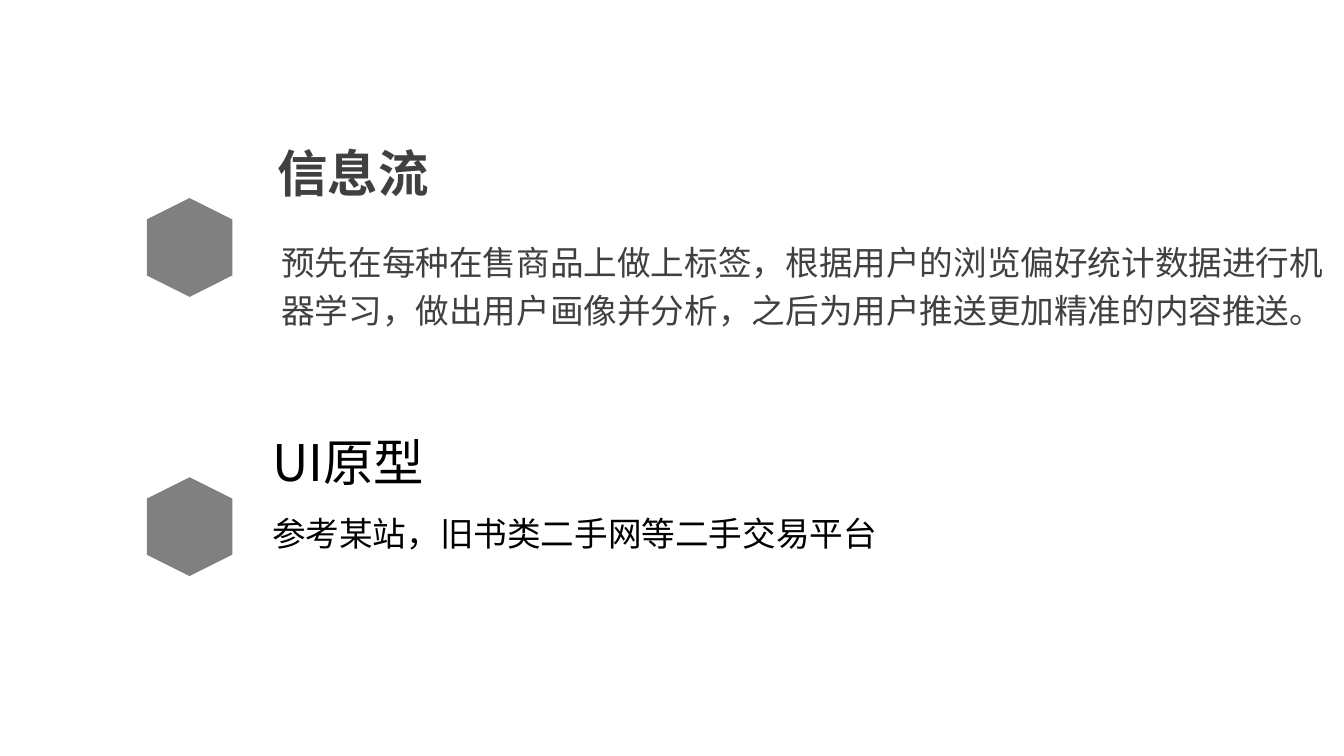
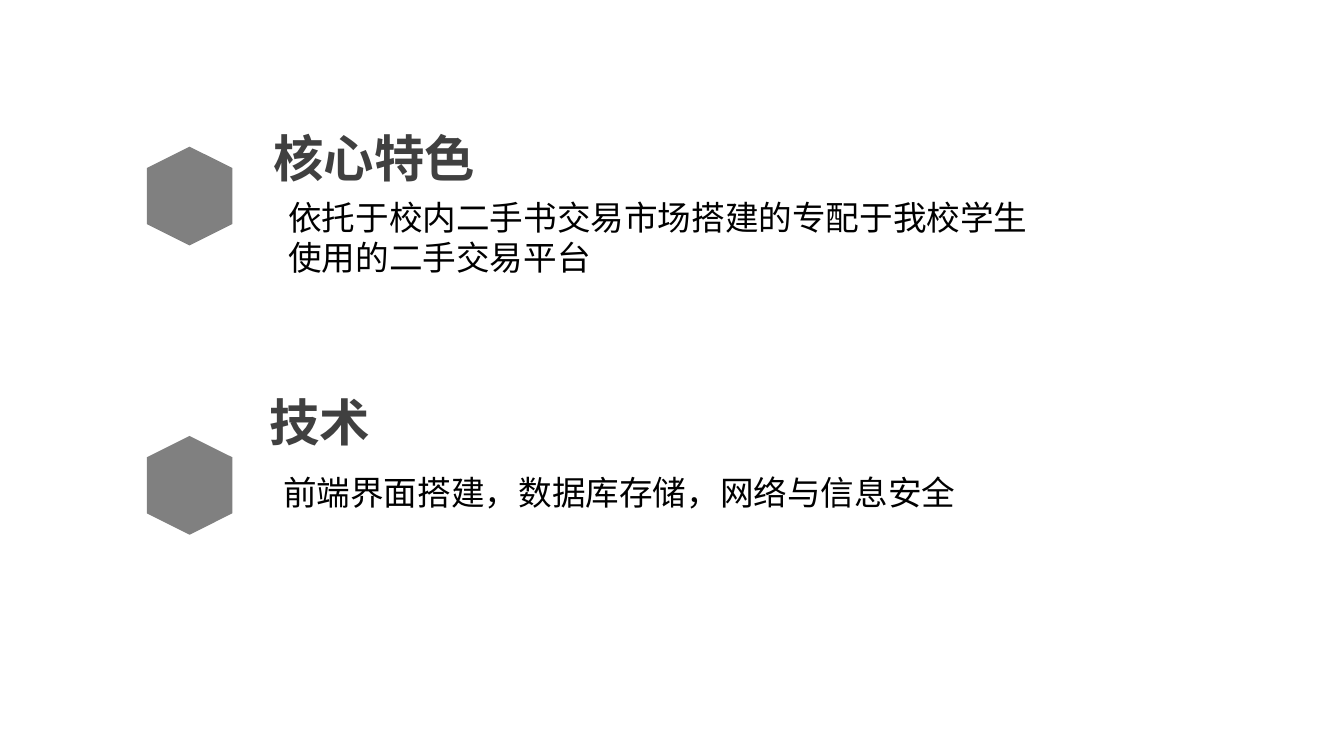
from dataclasses import dataclass

from lxml import etree
from pptx import Presentation
from pptx import util as u
from pptx.dml.color import RGBColor
from pptx.enum import shapes, text
from pptx.oxml import ns
from pptx.slide import Slide


@dataclass(frozen=True)
class Theme:
    font: str = "Noto Sans CJK SC"
    heading_size: int = 36
    body_size: int = 24
    marker: RGBColor = RGBColor(0x80, 0x80, 0x80)
    dark: RGBColor = RGBColor(0x40, 0x40, 0x40)
    black: RGBColor = RGBColor(0, 0, 0)


THEME = Theme()
MARKER_LEFT, MARKER_WIDTH, MARKER_HEIGHT = 1.39, 0.98, 0.85


@dataclass(frozen=True)
class TextBlock:
    words: str
    left: float
    top: float
    width: float
    height: float
    size: int = THEME.body_size
    color: RGBColor = THEME.black
    bold: bool = False
    inset: bool = True
    line_spacing: float = 1.0


@dataclass(frozen=True)
class Topic:
    marker_top: float
    heading: TextBlock
    body: TextBlock


def dark_heading(words: str, left: float, top: float, width: float = 5.5) -> TextBlock:
    return TextBlock(words, left, top, width, 0.36, THEME.heading_size,
                     THEME.dark, bold=True, inset=False)


SLIDES = (
    (
        Topic(2.03, dark_heading("信息流", 2.75, 1.41),
              TextBlock("预先在每种在售商品上做上标签，根据用户的浏览偏好统计数据进行机器学习，"
                        "做出用户画像并分析，之后为用户推送更加精准的内容推送。",
                        2.79, 2.32, 10.46, 0.97, color=THEME.dark,
                        inset=False, line_spacing=1.2)),
        Topic(4.8, TextBlock("UI原型", 2.6, 4.23, 4.06, 0.71, THEME.heading_size),
              TextBlock("参考某站，旧书类二手网等二手交易平台", 2.6, 5.04, 8.64, 0.5)),
    ),
    (
        Topic(1.52, dark_heading("核心特色", 2.71, 1.26),
              TextBlock("依托于校内二手书交易市场搭建的专配于我校学生使用的二手交易平台",
                        2.76, 1.9, 7.75, 0.91)),
        Topic(4.39, dark_heading("技术", 2.67, 3.88, 3.05),
              TextBlock("前端界面搭建，数据库存储，网络与信息安全", 2.71, 4.63, 7.81, 0.5)),
    ),
)


def add_marker(s: Slide, top: float) -> None:
    sp = s.shapes.add_shape(shapes.MSO_SHAPE.HEXAGON, u.Inches(MARKER_LEFT), u.Inches(top),
                            u.Inches(MARKER_WIDTH), u.Inches(MARKER_HEIGHT))
    sp.rotation = 90
    sp.shadow.inherit = False
    sp.fill.solid()
    sp.fill.fore_color.rgb = THEME.marker
    sp.line.fill.background()


def add_text(s: Slide, block: TextBlock) -> None:
    sp = s.shapes.add_textbox(u.Inches(block.left), u.Inches(block.top),
                              u.Inches(block.width), u.Inches(block.height))
    tf = sp.text_frame
    tf.word_wrap = True
    tf.vertical_anchor = text.MSO_ANCHOR.TOP
    if not block.inset:
        tf.margin_left = tf.margin_top = tf.margin_right = tf.margin_bottom = 0
    p = tf.paragraphs[0]
    p.line_spacing = block.line_spacing
    p.font.size = u.Pt(block.size)
    p.font.bold = block.bold
    p.font.color.rgb = block.color
    p.font.name = THEME.font
    font_xml = p._p.pPr.find(ns.qn("a:defRPr"))
    etree.SubElement(font_xml, ns.qn("a:ea"), typeface=THEME.font)
    r = p.add_run()
    r.text = block.words


def add_topic(s: Slide, topic: Topic) -> None:
    add_marker(s, topic.marker_top)
    add_text(s, topic.heading)
    add_text(s, topic.body)


def main() -> None:
    prs = Presentation()
    prs.slide_width = u.Inches(13.33)
    prs.slide_height = u.Inches(7.5)
    for topics in SLIDES:
        s = prs.slides.add_slide(prs.slide_layouts[6])
        for topic in topics:
            add_topic(s, topic)
    prs.save("out.pptx")


if __name__ == "__main__":
    main()
